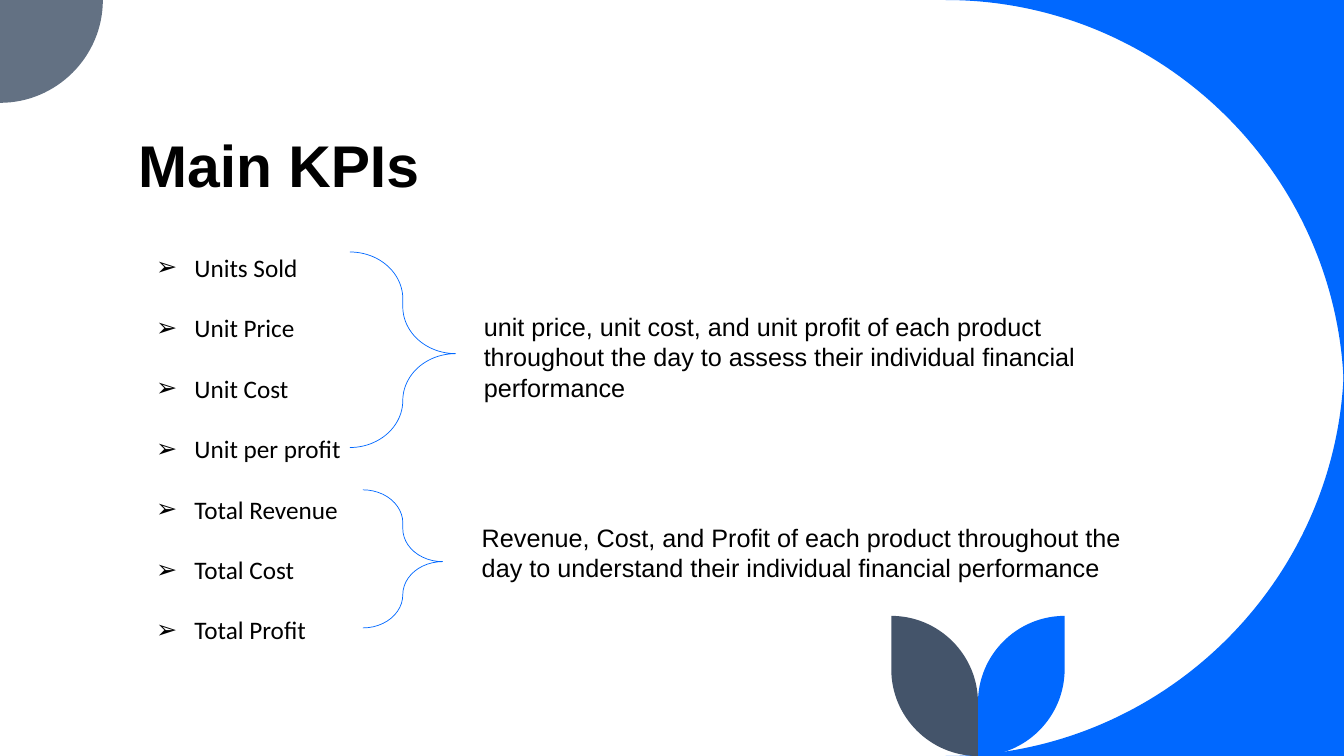
import math
from typing import NamedTuple

from lxml import etree
from pptx import Presentation
from pptx import util as u
from pptx.dml.color import RGBColor
from pptx.enum import shapes, text
from pptx.oxml.ns import qn

BLUE, SLATE, NAVY, BLACK = "0068FF", "637183", "44546A", "000000"
WIDTH, HEIGHT = 13.33, 7.5
CURVE_RATIO = 0.55


class Arc(NamedTuple):
    """Quarter circle swept clockwise from a start angle in degrees."""
    x: float
    y: float
    radius: float
    start: int


class Decoration(NamedTuple):
    """Filled outline made of arcs and closed through extra corners."""
    color: str
    arcs: list[Arc]
    corners: list[tuple[float, float]]


class KpiGroup(NamedTuple):
    """Brace around related KPIs and the sentence that explains them."""
    brace: tuple[float, float, float, float]
    explanation: str
    explanation_at: tuple[float, float, float, float]


DECORATIONS = [
    Decoration(BLUE, [Arc(9.38, 3.95, 3.95, 270)], [(WIDTH, 0)]),
    Decoration(BLUE, [Arc(9.38, 3.55, 3.95, 0)], [(WIDTH, HEIGHT)]),
    Decoration(SLATE, [Arc(0, 0, 1.02, 0)], [(0, 0)]),
    Decoration(BLUE, [Arc(9.7, 6.64, 0.86, 0), Arc(10.56, 6.97, 0.86, 180)], []),
    Decoration(NAVY, [Arc(9.7, 6.64, 0.86, 90), Arc(8.84, 6.97, 0.86, 270)], []),
]
KPIS = ["Units Sold", "Unit Price", "Unit Cost", "Unit per profit",
        "Total Revenue", "Total Cost", "Total Profit"]
GROUPS = [
    KpiGroup((3.47, 2.5, 1.05, 1.94),
             "unit price, unit cost, and unit profit of each product throughout "
             "the day to assess their individual financial performance",
             (4.7, 3.04, 6.67, 0.71)),
    KpiGroup((3.6, 4.86, 0.79, 1.37),
             "Revenue, Cost, and Profit of each product throughout the day to "
             "understand their individual financial performance",
             (4.68, 5.13, 6.67, 0.71)),
]


def rgb(color: str) -> RGBColor:
    """Turn a hex string into a colour."""
    return RGBColor.from_string(color)


def inches(box: tuple[float, ...]) -> list[u.Length]:
    """Convert a box to lengths."""
    return [u.Inches(side) for side in box]


def arc_ends(arc: Arc) -> list[tuple[float, float]]:
    """Find both ends of a quarter circle."""
    angles = [math.radians(arc.start + sweep) for sweep in (0, 90)]
    return [(arc.x + arc.radius * math.cos(angle),
             arc.y + arc.radius * math.sin(angle)) for angle in angles]


def bend(segment, arc: Arc) -> None:
    """Turn a straight path segment into a quarter circle."""
    start, end = [(int(node[0].get("x")), int(node[0].get("y")))
                  for node in (segment.getprevious(), segment)]
    upright = arc.start % 180 == 0
    corner = (start[0], end[1]) if upright else (end[0], start[1])
    controls = [[round(side + CURVE_RATIO * (tip - side))
                 for side, tip in zip(point, corner)] for point in (start, end)]
    segment.tag = qn("a:cubicBezTo")
    for index, (x, y) in enumerate(controls):
        segment.insert(index, etree.Element(qn("a:pt"), x=str(x), y=str(y)))
    for control in segment[:-1]:
        control.tail = None


def draw_decoration(slide, decoration: Decoration) -> None:
    """Draw one filled outline."""
    outline = [point for arc in decoration.arcs for point in arc_ends(arc)]
    corners = [inches(point) for point in outline + decoration.corners]
    builder = slide.shapes.build_freeform(*corners[0])
    builder.add_line_segments(corners[1:], close=True)
    petal = builder.convert_to_shape()
    segments = list(next(petal._element.iter(qn("a:path"))))
    ends = [segments[2 * index + 1] for index in range(len(decoration.arcs))]
    for segment, arc in reversed(list(zip(ends, decoration.arcs))):
        bend(segment, arc)
    petal.shadow.inherit = False
    petal.fill.solid()
    petal.fill.fore_color.rgb = rgb(decoration.color)
    petal.line.fill.background()


def write(frame, lines: list[str], *, size: float = 18, font: str = "Arial",
          bold: bool = False, spacing: float = 1.0, bullet: str = "") -> None:
    """Fill a text frame with left-aligned paragraphs."""
    frame.word_wrap = True
    for index, line in enumerate(lines):
        paragraph = frame.add_paragraph() if index else frame.paragraphs[0]
        paragraph.alignment = text.PP_ALIGN.LEFT
        paragraph.line_spacing = spacing
        run = paragraph.add_run()
        run.text = line
        run.font.size, run.font.name, run.font.bold = u.Pt(size), font, bold
        run.font.color.rgb = rgb(BLACK)
        if bullet:
            properties = paragraph._p.get_or_add_pPr()
            indent = u.Inches(0.38)
            properties.set("marL", str(indent))
            properties.set("indent", str(-indent))
            etree.SubElement(properties, qn("a:buFont"), typeface="Arial")
            etree.SubElement(properties, qn("a:buChar"), char=bullet)


def add_text(slide, box: tuple[float, ...], lines: list[str], **style) -> None:
    """Add a text box that grows with its text."""
    frame = slide.shapes.add_textbox(*inches(box)).text_frame
    write(frame, lines, **style)
    frame.auto_size = text.MSO_AUTO_SIZE.SHAPE_TO_FIT_TEXT


def draw_group(slide, group: KpiGroup) -> None:
    """Draw a brace with its explanation."""
    brace = slide.shapes.add_shape(shapes.MSO_SHAPE.RIGHT_BRACE, *inches(group.brace))
    brace.adjustments[0], brace.adjustments[1] = 0.46, 0.52
    brace.shadow.inherit = False
    brace.fill.background()
    brace.line.color.rgb = rgb(BLUE)
    brace.line.width = u.Pt(0.5)
    add_text(slide, group.explanation_at, [group.explanation])


def main() -> None:
    """Build the KPI slide."""
    deck = Presentation()
    deck.slide_width, deck.slide_height = u.Inches(WIDTH), u.Inches(HEIGHT)
    slide = deck.slides.add_slide(deck.slide_layouts.get_by_name("Title Only"))
    for decoration in DECORATIONS:
        draw_decoration(slide, decoration)
    title = slide.shapes.title
    title.left, title.top, title.width, title.height = inches((1.27, 0.11, 10.69, 1.91))
    title.text_frame.vertical_anchor = text.MSO_ANCHOR.BOTTOM
    write(title.text_frame, ["Main KPIs"], size=42, bold=True, spacing=0.8)
    add_text(slide, (1.45, 2.15, 8.66, 4.26), KPIS,
             font="Calibri", spacing=2, bullet="➢")
    for group in GROUPS:
        draw_group(slide, group)
    deck.save("out.pptx")


if __name__ == "__main__":
    main()
